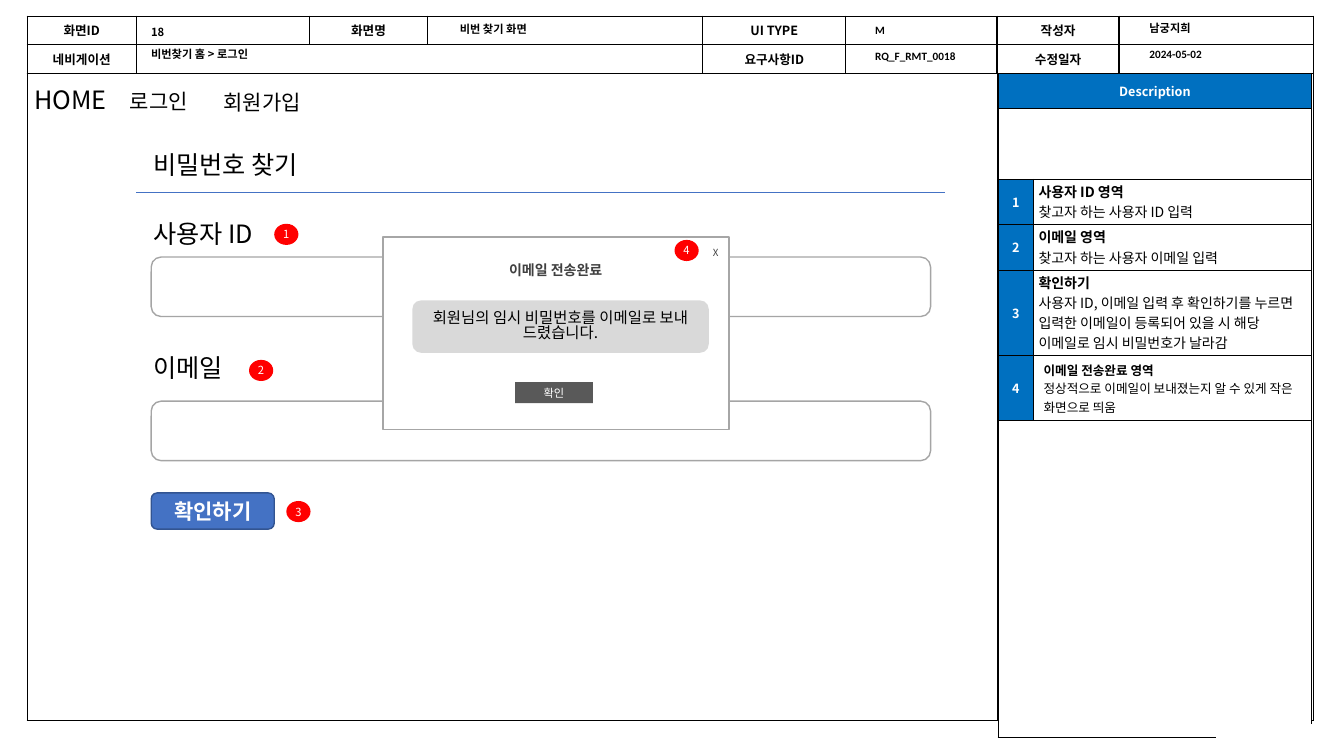
from lxml import etree
from pptx import Presentation, util as u
from pptx.dml.color import RGBColor
from pptx.enum import shapes, text
from pptx.oxml.ns import qn

COLORS = {"black": "000000", "white": "FFFFFF", "blue": "0070C0", "button": "4472C4",
          "button_edge": "325491", "red": "FF0000", "input_edge": "A5A5A5",
          "popup_edge": "A6A6A6", "dark": "404040", "confirm": "595959", "message": "D9D9D9"}
KOREAN, LATIN = "Noto Sans CJK KR", "Calibri"
CENTER, MIDDLE = text.PP_ALIGN.CENTER, text.MSO_ANCHOR.MIDDLE
OVAL, RECT, ROUND = (shapes.MSO_SHAPE.OVAL, shapes.MSO_SHAPE.RECTANGLE,
                     shapes.MSO_SHAPE.ROUNDED_RECTANGLE)
NO_INSET, CELL_INSET, TIGHT_INSET = (0, 0), (0.1, 0.05), (0.05, 0.02)


def color(name):
    return RGBColor.from_string(COLORS[name])


def place(box, left, top, width, height):
    """Turn a spot inside a box into slide lengths."""
    return [u.Inches(n) for n in (box[0] + left, box[1] + top, width, height)]


def set_insets(target, inset):
    sides = {"margin_left": 0, "margin_right": 0, "margin_top": 1, "margin_bottom": 1}
    for side, index in sides.items():
        setattr(target, side, u.Inches(inset[index]))


def write(frame, lines, size, ink="black", face=KOREAN, bold=False, **paragraph_format):
    """Write lines; bold is one flag, or one flag for each line."""
    flags = bold if isinstance(bold, tuple) else (bold,) * len(lines)
    for index, (line, flag) in enumerate(zip(lines, flags)):
        para = frame.paragraphs[0] if index == 0 else frame.add_paragraph()
        for name, value in paragraph_format.items():
            setattr(para, name, value)
        span = para.add_run()
        span.text = line
        for name, value in {"size": u.Pt(size), "bold": flag, "name": face}.items():
            setattr(span.font, name, value)
        span.font.color.rgb = color(ink)
        etree.SubElement(span.font._element, qn("a:ea"), typeface=KOREAN)


def add_label(parent, spot, words, size, wrap=True, inset=CELL_INSET, **style):
    label = parent.shapes.add_textbox(*spot)
    label.text_frame.word_wrap = wrap
    set_insets(label.text_frame, inset)
    write(label.text_frame, [words], size, **style)
    return label


def add_block(parent, kind, spot, fill, edge=None, words=None, size=8,
              inset=CELL_INSET, **style):
    block = parent.shapes.add_shape(kind, *spot)
    block.shadow.inherit = False
    block.fill.solid()
    block.fill.fore_color.rgb = color(fill)
    if edge:
        block.line.color.rgb = color(edge)
        block.line.width = u.Pt(1)
    else:
        block.line.fill.background()
    if words:
        block.text_frame.word_wrap = True
        block.text_frame.vertical_anchor = MIDDLE
        set_insets(block.text_frame, inset)
        write(block.text_frame, [words], size, alignment=CENTER, **style)


def add_marker(page, box, left, top, number):
    add_block(page, OVAL, place(box, left, top, 0.24, 0.21), "red",
              words=number, inset=NO_INSET, ink="white")


def fill_cell(cell, fill="white", inset=CELL_INSET):
    cell.fill.solid()
    cell.fill.fore_color.rgb = color(fill)
    set_insets(cell, inset)
    cell.vertical_anchor = MIDDLE
    properties = cell._tc.get_or_add_tcPr()
    for index, side in enumerate(("lnL", "lnR", "lnT", "lnB")):
        border = etree.Element(qn(f"a:{side}"), w=str(u.Pt(1)))
        paint = etree.SubElement(border, qn("a:solidFill"))
        etree.SubElement(paint, qn("a:srgbClr"), val=COLORS["black"])
        properties.insert(index, border)


def add_grid(page, box, widths, heights):
    """Add a bordered white table whose empty cells hold small text."""
    grid = page.shapes.add_table(len(heights), len(widths), *place(
        box, 0, 0, sum(widths), sum(heights))).table
    grid.first_row = grid.horz_banding = False
    for column, width in zip(grid.columns, widths):
        column.width = u.Inches(width)
    for row, height in zip(grid.rows, heights):
        row.height = u.Inches(height)
    for cell in grid.iter_cells():
        fill_cell(cell)
    return grid


def finish_grid(grid):
    for cell in grid.iter_cells():
        if not cell.text_frame.text:
            etree.SubElement(cell.text_frame.paragraphs[0]._p, qn("a:endParaRPr"), sz="800")


def draw_header(page, box):
    # Field names
    grid = add_grid(page, box, [1.08, 1.72, 1.17, 2.73, 1.42, 1.5, 1.21, 1.93], [0.285] * 2)
    grid.cell(1, 1).merge(grid.cell(1, 3))
    names = [["화면ID", "화면명", "UI TYPE", "작성자"],
             ["네비게이션", None, "요구사항ID", "수정일자"]]
    for row, row_names in enumerate(names):
        for index, name in enumerate(row_names):
            if name:
                cell = grid.cell(row, index * 2)
                set_insets(cell, (0.05, 0))
                write(cell.text_frame, [name], 9, bold=True, alignment=CENTER)
    finish_grid(grid)

    # Field values
    values = [(4.04, 0.03, 2.18, "비번 찾기 화면", KOREAN), (8.16, 0.04, 1.45, "M", LATIN),
              (8.16, 0.29, 1.45, "RQ_F_RMT_0018", LATIN),
              (10.88, 0.02, 1.45, "남궁지희", LATIN), (10.88, 0.27, 1.45, "2024-05-02", LATIN)]
    for left, top, width, value, face in values:
        label = add_label(page, place(box, left, top, width, 0.17), value, 8,
                          inset=NO_INSET, face=face, bold=True,
                          line_spacing=0.9, space_before=u.Pt(10))
        label.text_frame.vertical_anchor = text.MSO_ANCHOR.BOTTOM
        indent = label.text_frame.paragraphs[0]._p.get_or_add_pPr()
        indent.set("marL", str(u.Inches(0.5)))
        indent.set("indent", str(u.Inches(-0.25)))
    for top, value in ((0.26, "비번찾기 홈 > 로그인"), (0.04, "18")):
        add_label(page, place(box, 1.13, top, 1.3, 0.24), value, 8, bold=True)


def draw_description(page, box):
    grid = add_grid(page, box, [0.35, 2.76], [0.35, 0.7, 0.45, 0.45, 0.85, 0.64, 3.15])
    for row in (0, 1, 6):
        grid.cell(row, 0).merge(grid.cell(row, 1))
    notes = [("사용자 ID 영역", "찾고자 하는 사용자 ID 입력"),
             ("이메일 영역", "찾고자 하는 사용자 이메일 입력"),
             ("확인하기", "사용자 ID, 이메일 입력 후 확인하기를 누르면 입력한 이메일이 "
              "등록되어 있을 시 해당 이메일로 임시 비밀번호가 날라감"),
             ("이메일 전송완료 영역", "정상적으로 이메일이 보내졌는지 알 수 있게 작은 화면으로 띄움")]
    heads = {0: "Description"} | {number + 1: str(number) for number in range(1, 5)}
    for row, head in heads.items():
        cell = grid.cell(row, 0)
        cell.fill.fore_color.rgb = color("blue")
        write(cell.text_frame, [head], 9, ink="white", bold=True, alignment=CENTER)
    for row, note in enumerate(notes, 2):
        cell, last = grid.cell(row, 1), row == 5
        if not last:
            set_insets(cell, TIGHT_INSET)
            cell.vertical_anchor = text.MSO_ANCHOR.TOP
        write(cell.text_frame, note, 9 if last else 10, bold=(True, False))
    finish_grid(grid)
    # White patch over the lower right corner
    add_block(page, RECT, place(box, 2.17, 6.46, 1.08, 0.28), "white", "white")


def draw_form(page, box):
    # Menu
    add_label(page, place(box, -0.03, 0.06, 0.94, 0.4), "HOME", 18, wrap=False)
    add_label(page, place(box, 0.92, 0.1, 1.11, 0.35), "로그인", 15)
    add_label(page, place(box, 1.85, 0.11, 1.42, 0.35), "회원가입", 15)

    # Title and rule
    title = page.shapes.title
    page.shapes._spTree.append(title._element)
    spot = place(box, 1.15, 0.7, 2.01, 0.4)
    for name, value in zip(("left", "top", "width", "height"), spot):
        setattr(title, name, value)
    title.text_frame.vertical_anchor = text.MSO_ANCHOR.TOP
    title.text_frame.auto_size = text.MSO_AUTO_SIZE.NONE
    set_insets(title.text_frame, CELL_INSET)
    write(title.text_frame, ["비밀번호 찾기"], 18, alignment=text.PP_ALIGN.LEFT)
    left, top, width, _ = place(box, 1.08, 1.18, 8.02, 0)
    rule = page.shapes.add_connector(shapes.MSO_CONNECTOR.STRAIGHT, left, top, left + width, top)
    rule.line.color.rgb = color("button")
    rule.line.width = u.Pt(0.5)
    etree.SubElement(rule._element.spPr, qn("a:effectLst"))

    # Fields, button and markers
    for name, label_top, input_top in (("사용자 ID", 1.39, 1.82), ("이메일", 2.72, 3.25)):
        add_label(page, place(box, 1.15, label_top, 1.4, 0.4), name, 18)
        add_block(page, ROUND, place(box, 1.23, input_top, 7.73, 0.59), "white", "input_edge")
    add_block(page, ROUND, place(box, 1.23, 4.16, 1.22, 0.36), "button", "button_edge",
              words="확인하기", size=15, ink="white", bold=True)
    for number, (left, top) in enumerate([(2.45, 1.49), (2.2, 2.84), (2.57, 4.24)], 1):
        add_marker(page, box, left, top, str(number))


def draw_popup(page, box):
    popup = page.shapes.add_group_shape()
    add_block(popup, RECT, place(box, 0, 0, 3.43, 1.91), "white", "popup_edge")
    add_label(popup, place(box, 1.25, 0.24, 1.03, 0.17), "이메일 전송완료", 10,
              wrap=False, inset=NO_INSET, ink="dark", bold=True)
    add_label(popup, place(box, 3.27, 0.1, 0.06, 0.12), "X", 7,
              wrap=False, inset=NO_INSET, ink="dark")
    add_block(popup, RECT, place(box, 1.31, 1.44, 0.77, 0.21), "confirm",
              words="확인", inset=NO_INSET, ink="white")
    add_block(popup, ROUND, place(box, 0.29, 0.63, 2.94, 0.52), "message",
              words="회원님의 임시 비밀번호를 이메일로 보내 드렸습니다.", size=11, line_spacing=0.8)
    add_marker(page, box, 2.89, 0.03, "4")


def main():
    deck = Presentation()
    deck.slide_width, deck.slide_height = u.Inches(13.33), u.Inches(7.5)
    page = deck.slides.add_slide(deck.slide_layouts[5])
    draw_header(page, (0.27, 0.16))
    finish_grid(add_grid(page, (0.27, 0.73), [9.62, 3.14], [6.42]))
    draw_description(page, (9.9, 0.73))
    draw_form(page, (0.27, 0.73))
    draw_popup(page, (3.8, 2.35))
    deck.save("out.pptx")


if __name__ == "__main__":
    main()
